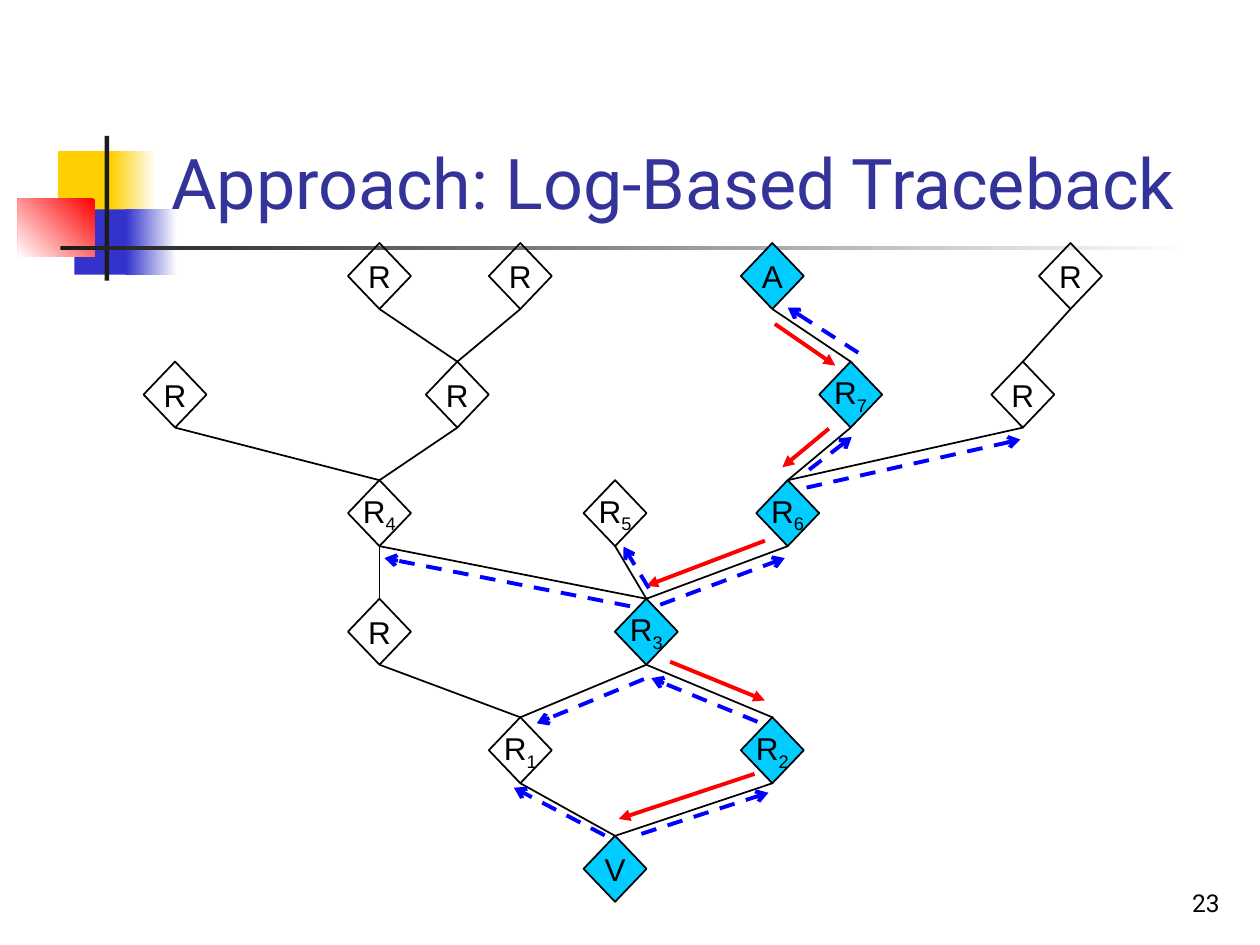
import lxml.etree
import pptx
import pptx.dml.color
import pptx.enum.dml
import pptx.enum.shapes
import pptx.enum.text
import pptx.oxml.ns
import pptx.util

Cm = pptx.util.Cm
Pt = pptx.util.Pt
RGB = pptx.dml.color.RGBColor
Shape = pptx.enum.shapes.MSO_SHAPE
Align = pptx.enum.text.PP_ALIGN
Anchor = pptx.enum.text.MSO_ANCHOR
qn = pptx.oxml.ns.qn

WHITE = RGB(0xFF, 0xFF, 0xFF)
BLACK = RGB(0x00, 0x00, 0x00)
CHARCOAL = RGB(0x1C, 0x1C, 0x1C)
YELLOW = RGB(0xFF, 0xCF, 0x01)
INDIGO = RGB(0x33, 0x33, 0xCC)
TITLE_BLUE = RGB(0x33, 0x33, 0x99)
CYAN = RGB(0x00, 0xCC, 0xFF)
RED = RGB(0xFF, 0x00, 0x00)
BLUE = RGB(0x00, 0x00, 0xFF)

TOP, BOTTOM = 0, 2
NODE_WIDTH, NODE_HEIGHT = 1.27, 1.33
FIRST_ROW, ROW_STEP = 4.9, 2.39

# left, top, width, height, colour, angle of the fade to white (None is solid)
ORNAMENTS = [
    (1.17, 3.05, 1.22, 1.32, YELLOW, None),
    (2.24, 3.05, 0.91, 1.32, YELLOW, 0),
    (1.5, 4.22, 1.17, 1.32, INDIGO, None),
    (2.54, 4.22, 1.02, 1.32, INDIGO, 0),
    (0.36, 4.01, 1.55, 1.17, RED, 225),
    (2.11, 2.74, 0.09, 2.92, CHARCOAL, None),
    (1.22, 4.95, 22.86, 0.09, CHARCOAL, 0),
]

# key: (label, centre, row)
ROUTERS = {
    "V": ("V", 12.4, 5),
    "R1": ("R1", 10.49, 4),
    "R2": ("R2", 15.57, 4),
    "left": ("R", 7.65, 3),
    "R3": ("R3", 13.03, 3),
    "R4": ("R4", 7.65, 2),
    "R5": ("R5", 12.4, 2),
    "R6": ("R6", 15.88, 2),
    "far left": ("R", 3.53, 1),
    "inner left": ("R", 9.22, 1),
    "R7": ("R7", 17.15, 1),
    "right": ("R", 20.62, 1),
    "top left": ("R", 7.65, 0),
    "top middle": ("R", 10.49, 0),
    "A": ("A", 15.57, 0),
    "top right": ("R", 21.58, 0),
}
ATTACK_PATH = {"A", "R7", "R6", "R3", "R2", "V"}

# lower router: routers above it
LINKS = {
    "V": ["R1", "R2"],
    "R1": ["left", "R3"],
    "R2": ["R3"],
    "left": ["R4"],
    "R3": ["R4", "R5", "R6"],
    "R4": ["far left", "inner left"],
    "R6": ["R7", "right"],
    "R7": ["A"],
    "inner left": ["top left", "top middle"],
    "right": ["top right"],
}

# start x, start y, end x, end y
ATTACK_STEPS = [
    (15.62, 6.53, 16.84, 7.37),
    (16.71, 8.64, 15.77, 9.42),
    (15.42, 10.9, 13.03, 11.81),
    (13.51, 13.34, 15.42, 14.12),
    (15.21, 15.6, 12.47, 16.51),
]
QUERIES = [
    (15.27, 14.55, 13.13, 13.67),
    (12.93, 16.81, 15.49, 15.98),
    (12.19, 16.84, 10.36, 15.88),
    (12.7, 12.22, 7.75, 11.25),
    (13.31, 12.19, 15.82, 11.25),
    (13.08, 11.86, 12.57, 11.02),
    (16.26, 9.83, 20.57, 8.86),
    (16.31, 9.47, 17.17, 8.81),
    (17.3, 7.11, 15.88, 6.2),
    (12.98, 13.69, 10.82, 14.58),
]


class Painter:
    title_font = {"name": "Roboto", "size": Pt(40)}
    node_font = {"name": "Arial", "size": Pt(18)}
    number_font = {"name": "Roboto", "size": Pt(14)}

    def __init__(self, page):
        self.page = page

    def add_span(self, para, text, font, color=BLACK):
        span = para.add_run()
        span.text = text
        for name, value in font.items():
            setattr(span.font, name, value)
        span.font.color.rgb = color
        return span

    def title(self, text, left, top, width, height):
        box = self.page.shapes.title
        place = {"left": left, "top": top, "width": width, "height": height}
        for name, value in place.items():
            setattr(box, name, Cm(value))
        frame = box.text_frame
        frame.auto_size = pptx.enum.text.MSO_AUTO_SIZE.NONE
        frame.vertical_anchor = Anchor.BOTTOM
        frame.paragraphs[0].alignment = Align.LEFT
        self.add_span(frame.paragraphs[0], text, self.title_font, TITLE_BLUE)
        box.element.getparent().append(box.element)  # in front of the ornaments

    def ornament(self, left, top, width, height, color, angle):
        shape = self.page.shapes.add_shape(
            Shape.RECTANGLE, Cm(left), Cm(top), Cm(width), Cm(height))
        shape.shadow.inherit = False
        shape.line.fill.background()
        if angle is None:
            shape.fill.solid()
            shape.fill.fore_color.rgb = color
            return
        shape.fill.gradient()
        shape.fill.gradient_angle = angle
        for stop, shade in zip(shape.fill.gradient_stops, (color, WHITE)):
            stop.color.rgb = shade

    def router(self, label, centre, row, marked):
        """Draw a diamond; what follows the letter becomes a subscript."""
        shape = self.page.shapes.add_shape(
            Shape.DIAMOND, Cm(centre - NODE_WIDTH / 2),
            Cm(FIRST_ROW + row * ROW_STEP), Cm(NODE_WIDTH), Cm(NODE_HEIGHT))
        shape.shadow.inherit = False
        shape.line.color.rgb = BLACK
        shape.line.width = Pt(1)
        if marked:
            shape.fill.solid()
            shape.fill.fore_color.rgb = CYAN
        else:
            shape.fill.background()
        frame = shape.text_frame
        frame.word_wrap = False
        frame.vertical_anchor = Anchor.MIDDLE
        para = frame.paragraphs[0]
        para.alignment = Align.CENTER
        self.add_span(para, label[0], self.node_font)
        if label[1:]:
            span = self.add_span(para, label[1:], self.node_font)
            span._r.get_or_add_rPr().set("baseline", "-25000")
        return shape

    def line(self, ends, color, width):
        line = self.page.shapes.add_connector(
            pptx.enum.shapes.MSO_CONNECTOR.STRAIGHT, *map(Cm, ends))
        line.line.color.rgb = color
        line.line.width = Pt(width)
        lxml.etree.SubElement(line.element.spPr, qn("a:effectLst"))
        return line

    def link(self, lower, upper):
        line = self.line((0, 0, 0, 0), BLACK, 1)
        line.begin_connect(lower, TOP)
        line.end_connect(upper, BOTTOM)

    def arrow(self, ends, color, head, dash=None):
        line = self.line(ends, color, 2.25)
        if dash:
            line.line.dash_style = dash
        lxml.etree.SubElement(line.get_or_add_ln(), qn("a:tailEnd"), type=head)

    def page_number(self, text, left, top, width, height):
        box = self.page.shapes.add_textbox(Cm(left), Cm(top), Cm(width), Cm(height))
        frame = box.text_frame
        frame.word_wrap = True
        frame.vertical_anchor = Anchor.BOTTOM
        frame.paragraphs[0].alignment = Align.RIGHT
        self.add_span(frame.paragraphs[0], text, self.number_font)


def main():
    deck = pptx.Presentation()
    deck.slide_width, deck.slide_height = Cm(25.4), Cm(19.05)
    painter = Painter(deck.slides.add_slide(deck.slide_layouts[5]))
    for ornament in ORNAMENTS:
        painter.ornament(*ornament)
    painter.title("Approach: Log-Based Traceback", 3.2, 0.58, 21.64, 4.06)
    nodes = {key: painter.router(*router, key in ATTACK_PATH)
             for key, router in ROUTERS.items()}
    for lower, uppers in LINKS.items():
        for upper in uppers:
            painter.link(nodes[lower], nodes[upper])
    for ends in ATTACK_STEPS:
        painter.arrow(ends, RED, "triangle")
    for ends in QUERIES:
        painter.arrow(ends, BLUE, "arrow", pptx.enum.dml.MSO_LINE.DASH)
    painter.page_number("23", 19.56, 17.35, 5.28, 1.27)
    deck.save("out.pptx")


if __name__ == "__main__":
    main()
